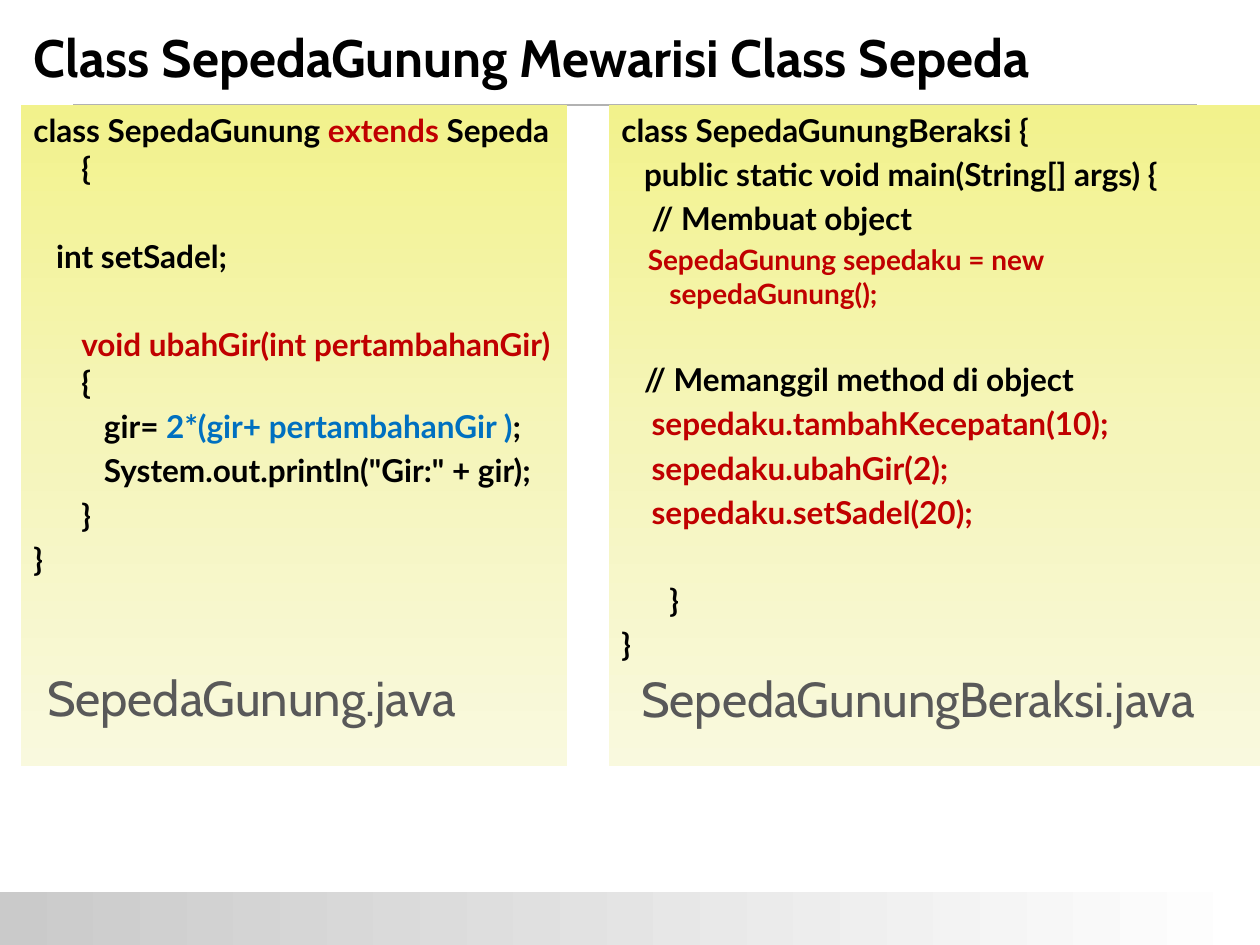
"""Build a slide that shows two Java classes side by side."""
import copy
import dataclasses
import typing

import pptx
import pptx.dml.color
import pptx.enum.shapes
import pptx.enum.text
import pptx.oxml
import pptx.oxml.ns
import pptx.util

RGBColor = pptx.dml.color.RGBColor
BLACK = RGBColor(0x00, 0x00, 0x00)
RED = RGBColor(0xC0, 0x00, 0x00)
BLUE = RGBColor(0x00, 0x70, 0xC0)
GREY = RGBColor(0x59, 0x59, 0x59)
RULE = RGBColor(0xB2, 0xB2, 0xB2)
YELLOW = [RGBColor(0xF2, 0xF2, 0x8C), RGBColor(0xF5, 0xF5, 0xBA), RGBColor(0xF9, 0xF9, 0xDE)]
SILVER = [RGBColor(0xCA, 0xCA, 0xCA), RGBColor(0xFF, 0xFF, 0xFF)]

COLS, ROWS = 120, 90
HANG = 0.38
SPACE = 0.2
LEADING = 1.2

Anchor = pptx.enum.text.MSO_ANCHOR
Align = pptx.enum.text.PP_ALIGN
Fit = pptx.enum.text.MSO_AUTO_SIZE
Rect = pptx.enum.shapes.MSO_SHAPE.RECTANGLE


@dataclasses.dataclass
class Line:
    words: list[tuple[str, RGBColor]]
    start: float = 0
    gap: int = 0
    size: int = 18


@dataclasses.dataclass
class Panel:
    col: float
    wide: float
    name: str
    span: float
    row: float
    lines: list[Line]


PANELS = [
    Panel(2, 52, "SepedaGunung.java", 43.9, 63, [
        Line([("class SepedaGunung ", BLACK), ("extends ", RED), ("Sepeda {", BLACK)]),
        Line([("int setSadel;", BLACK)], 0.18, 1),
        Line([("void ubahGir(int pertambahanGir)", RED), (" {", BLACK)], HANG, 1),
        Line([("gir= ", BLACK), ("2*(gir+ pertambahanGir )", BLUE), (";", BLACK)], 0.56),
        Line([('System.out.println("Gir:" + gir);', BLACK)], 0.56),
        Line([("}", BLACK)], HANG),
        Line([("}", BLACK)]),
    ]),
    Panel(58, 62, "SepedaGunungBeraksi.java", 58.9, 63.1, [
        Line([("class SepedaGunungBeraksi {", BLACK)]),
        Line([("public static void main(String[] args) {", BLACK)], 0.18),
        Line([("// Membuat object", BLACK)], 0.24),
        Line([("SepedaGunung sepedaku = new sepedaGunung();", RED)], 0.21, 0, 16),
        Line([("// Memanggil method di object", BLACK)], 0.18, 1),
        Line([("sepedaku.tambahKecepatan(10);", RED)], 0.24),
        Line([("sepedaku.ubahGir(2);", RED)], 0.24),
        Line([("sepedaku.setSadel(20);", RED)], 0.24),
        Line([("}", BLACK)], HANG, 1),
        Line([("}", BLACK)]),
    ]),
]

deck = pptx.Presentation()
deck.slide_width = pptx.util.Inches(10)
deck.slide_height = pptx.util.Inches(7.5)
slide = deck.slides.add_slide(deck.slide_layouts[5])


def style(item: typing.Any, look: dict[str, typing.Any]) -> None:
    for key, val in look.items():
        setattr(item, key, val)


def place(col: float, row: float, wide: float, high: float) -> list[int]:
    unit_x, unit_y = deck.slide_width / COLS, deck.slide_height / ROWS
    return [round(col * unit_x), round(row * unit_y), round(wide * unit_x), round(high * unit_y)]


def write(para: typing.Any, text: str, font: str, size: int, tint: RGBColor, bold: bool) -> None:
    run = para.add_run()
    run.text = text
    style(run.font, {"name": font, "size": pptx.util.Pt(size), "bold": bold})
    run.font.color.rgb = tint


def shade(box: list[int], tints: list[RGBColor], angle: int) -> typing.Any:
    shape = slide.shapes.add_shape(Rect, *box)
    shape.shadow.inherit = False
    shape.line.fill.background()
    shape.fill.gradient()
    shape.fill.gradient_angle = angle
    stops = shape._element.spPr.find(".//" + pptx.oxml.ns.qn("a:gsLst"))
    for _ in tints[2:]:
        stops.append(copy.deepcopy(stops[-1]))
    for step, (stop, tint) in enumerate(zip(shape.fill.gradient_stops, tints)):
        stop.color.rgb = tint
        stop.position = step / (len(tints) - 1)
    return shape


def rule(col: float, row: float, wide: float) -> None:
    left, top, span, _ = place(col, row, wide, 0)
    line = slide.shapes.add_connector(
        pptx.enum.shapes.MSO_CONNECTOR.STRAIGHT, left, top, left + span, top)
    line.line.color.rgb = RULE
    line.line.width = pptx.util.Pt(1)
    line._element.spPr.append(pptx.oxml.parse_xml(
        f'<a:effectLst {pptx.oxml.ns.nsdecls("a")}/>'))


def code(panel: Panel) -> None:
    frame = shade(place(panel.col, 10, panel.wide, 63), YELLOW, 270).text_frame
    style(frame, {"word_wrap": True, "vertical_anchor": Anchor.TOP})
    for rank, line in enumerate(panel.lines):
        para = frame.add_paragraph() if rank else frame.paragraphs[0]
        lead = line.size * SPACE + line.gap * 18 * (LEADING + SPACE)
        style(para, {"alignment": Align.LEFT, "space_before": pptx.util.Pt(lead)})
        props = para._p.get_or_add_pPr()
        props.set("marL", str(pptx.util.Inches(HANG)))
        props.set("indent", str(pptx.util.Inches(line.start - HANG)))
        for text, tint in line.words:
            write(para, text, "Lato", line.size, tint, True)


def label(panel: Panel) -> None:
    frame = slide.shapes.add_textbox(*place(panel.col, panel.row, panel.span, 6.9)).text_frame
    style(frame, {"word_wrap": False, "auto_size": Fit.SHAPE_TO_FIT_TEXT})
    para = frame.paragraphs[0]
    para.alignment = Align.CENTER
    write(para, panel.name, "Cabin", 28, GREY, False)


def head(text: str) -> None:
    title = slide.shapes.title
    style(title, dict(zip(("left", "top", "width", "height"), place(2, 0, 118, 9))))
    style(title.text_frame, {
        "word_wrap": True, "auto_size": Fit.NONE, "vertical_anchor": Anchor.BOTTOM})
    para = title.text_frame.paragraphs[0]
    para.alignment = Align.LEFT
    write(para, text, "Cabin", 30, BLACK, True)


shade(place(0, 85, COLS, 5), SILVER, 0)
rule(7, 10, 107)
head("Class SepedaGunung Mewarisi Class Sepeda")
for draw in (code, label):
    for panel in PANELS:
        draw(panel)
deck.save("out.pptx")
